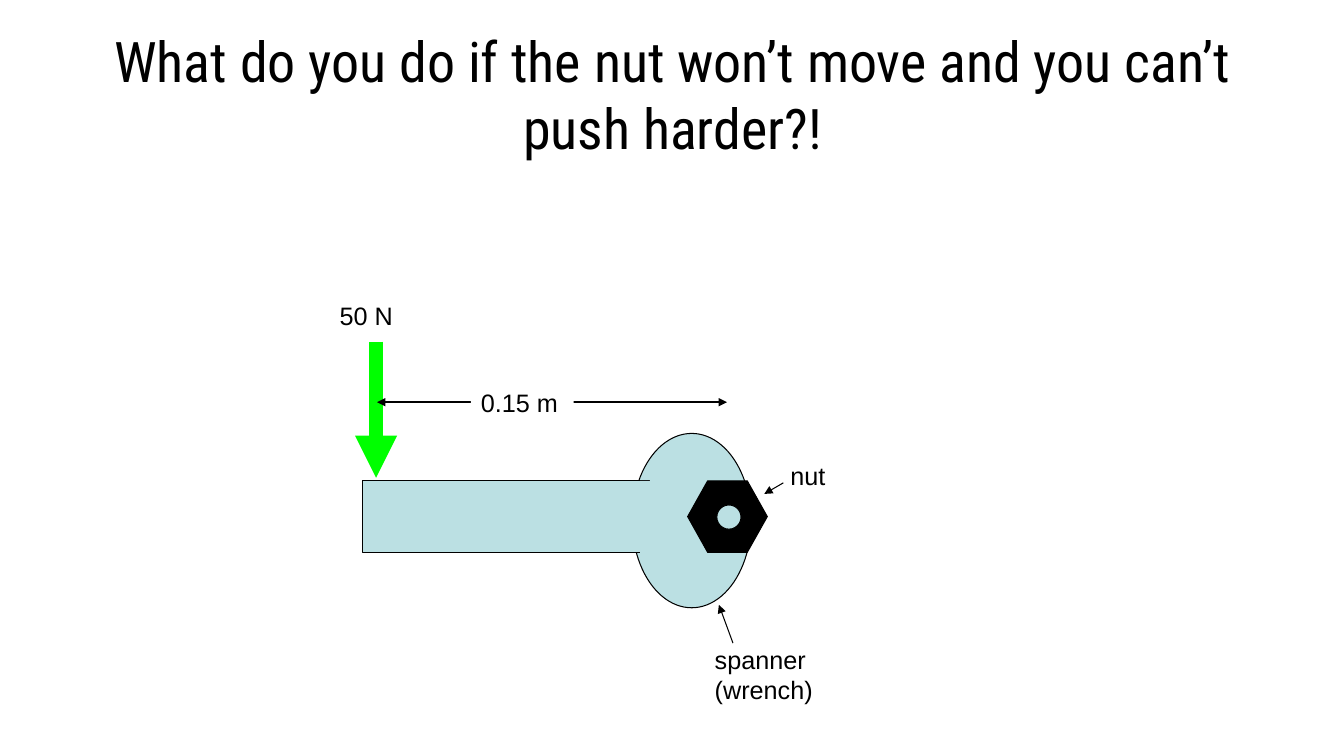
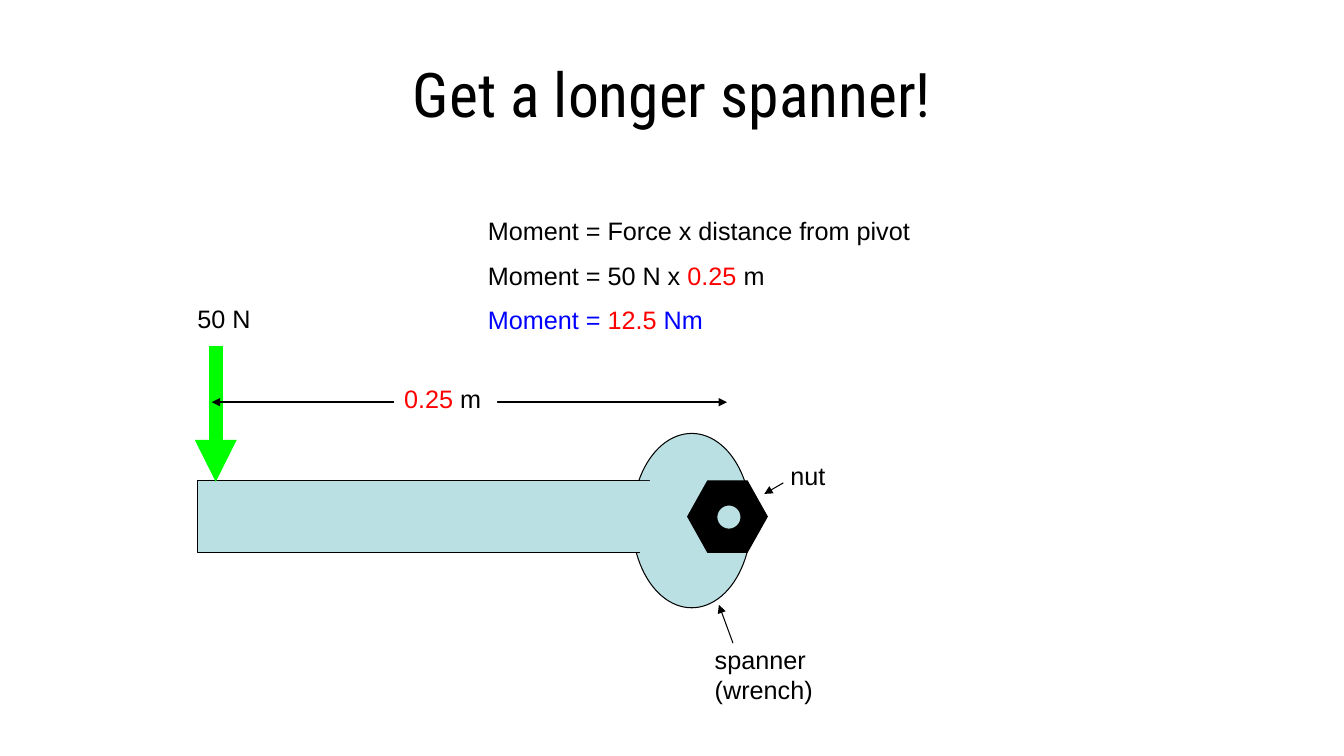
"""Build two slides on the moment of a force acting on a spanner."""
from lxml.etree import SubElement
from pptx import Presentation
from pptx.dml.color import RGBColor
from pptx.enum.shapes import MSO_CONNECTOR, MSO_SHAPE
from pptx.enum.text import MSO_ANCHOR, MSO_AUTO_SIZE, PP_ALIGN
from pptx.oxml.ns import qn
from pptx.util import Inches, Pt

BLACK, WHITE, STEEL = "000000", "FFFFFF", "BBE0E3"
GREEN, RED, BLUE = "00FF00", "FF0000", "0000FF"
color = RGBColor.from_string
HANDLE_RIGHT = 6.44


def draw_shape(page, kind, place, fill, outline=BLACK):
    """Add a filled shape, outlined unless outline is None."""
    shape = page.shapes.add_shape(kind, *map(Inches, place))
    shape.shadow.inherit = False
    shape.fill.solid()
    shape.fill.fore_color.rgb = color(fill)
    if outline:
        shape.line.color.rgb = color(outline)
        shape.line.width = Pt(0.75)
    else:
        shape.line.fill.background()
    return shape


def draw_arrow(page, points, stroke, width, ends=("tailEnd",)):
    """Add a straight line with a triangle at each of the given ends."""
    arrow = page.shapes.add_connector(MSO_CONNECTOR.STRAIGHT, *map(Inches, points))
    arrow.line.color.rgb = color(stroke)
    arrow.line.width = Pt(width)
    for end in ends:
        SubElement(arrow.line._get_or_add_ln(), qn(f"a:{end}"), type="triangle")
    SubElement(arrow._element.spPr, qn("a:effectLst"))


slides = [
    {
        "title": "What do you do if the nut won’t move and you can’t push harder?!",
        "title_size": 40,
        "handle_left": 3.6,
        "force": (3.73, 3.39, 3.73, 4.74),
        "distance_left": 3.74,
        "labels": [
            ((3.27, 2.93, 0.74, 0.4), None, [[("50 N", BLACK)]]),
            ((4.67, 3.79, 1.02, 0.4), WHITE, [[("0.15 m", BLACK)]]),
        ],
    },
    {
        "title": "Get a longer spanner!",
        "title_size": 44,
        "handle_left": 1.96,
        "force": (2.14, 3.43, 2.14, 4.78),
        "distance_left": 2.1,
        "labels": [
            ((1.86, 2.96, 0.74, 0.4), None, [[("50 N", BLACK)]]),
            ((3.91, 3.75, 1.02, 0.4), WHITE, [[("0.25", RED), (" m", BLACK)]]),
            ((4.74, 2.09, 6.31, 1.3), None, [
                [("Moment = Force x distance from pivot", BLACK)],
                [("Moment = 50 N x ", BLACK), ("0.25", RED), (" m", BLACK)],
                [("Moment = ", BLUE), ("12.5", RED), (" Nm", BLUE)],
            ]),
        ],
    },
]
shared_labels = [
    ((7.74, 4.52, 1.03, 0.4), None, [[("nut", BLACK)]]),
    ((6.99, 6.34, 1.61, 0.7), None, [[("spanner (wrench)", BLACK)]]),
]

deck = Presentation()
deck.slide_width, deck.slide_height = Inches(13.33), Inches(7.5)

for content in slides:
    page = deck.slides.add_slide(deck.slide_layouts[5])
    title = page.shapes.title
    title.left, title.top = Inches(0.67), Inches(0.3)
    title.width, title.height = Inches(12), Inches(1.25)
    title.text = content["title"]
    title.text_frame.auto_size = MSO_AUTO_SIZE.NONE
    title.text_frame.vertical_anchor = MSO_ANCHOR.MIDDLE
    heading = title.text_frame.paragraphs[0]
    heading.alignment = PP_ALIGN.CENTER
    heading.font.name = "Roboto Condensed"
    heading.font.size = Pt(content["title_size"])
    heading.font.color.rgb = color(BLACK)

    left = content["handle_left"]
    draw_shape(page, MSO_SHAPE.OVAL, (6.27, 4.3, 1.18, 1.73), STEEL)
    nut = draw_shape(page, MSO_SHAPE.HEXAGON, (6.82, 4.77, 0.79, 0.71), BLACK)
    nut.adjustments[0] = 0.28
    draw_shape(page, MSO_SHAPE.RECTANGLE, (left, 4.77, HANDLE_RIGHT - left, 0.71), STEEL)
    draw_shape(page, MSO_SHAPE.RECTANGLE, (6.35, 4.77, 0.16, 0.79), STEEL, None)
    draw_shape(page, MSO_SHAPE.OVAL, (7.11, 5.01, 0.24, 0.24), STEEL)

    draw_arrow(page, (7.27, 6.38, 7.13, 6), BLACK, 0.75)
    draw_arrow(page, (7.77, 4.79, 7.58, 4.9), BLACK, 0.75)
    draw_arrow(page, content["force"], GREEN, 10)
    draw_arrow(page, (content["distance_left"], 3.99, 7.21, 3.99), BLACK, 1.5,
               ("headEnd", "tailEnd"))

    for place, fill, lines in shared_labels + content["labels"]:
        box = page.shapes.add_textbox(*map(Inches, place))
        if fill:
            box.fill.solid()
            box.fill.fore_color.rgb = color(fill)
        frame = box.text_frame
        frame.word_wrap = True
        for index, line in enumerate(lines):
            para = frame.add_paragraph() if index else frame.paragraphs[0]
            para.space_before = Pt(10 if index else 0)
            para.font.name = "Arial"
            para.font.size = Pt(18)
            for text, ink in line:
                span = para.add_run()
                span.text = text
                span.font.color.rgb = color(ink)

deck.save("out.pptx")
